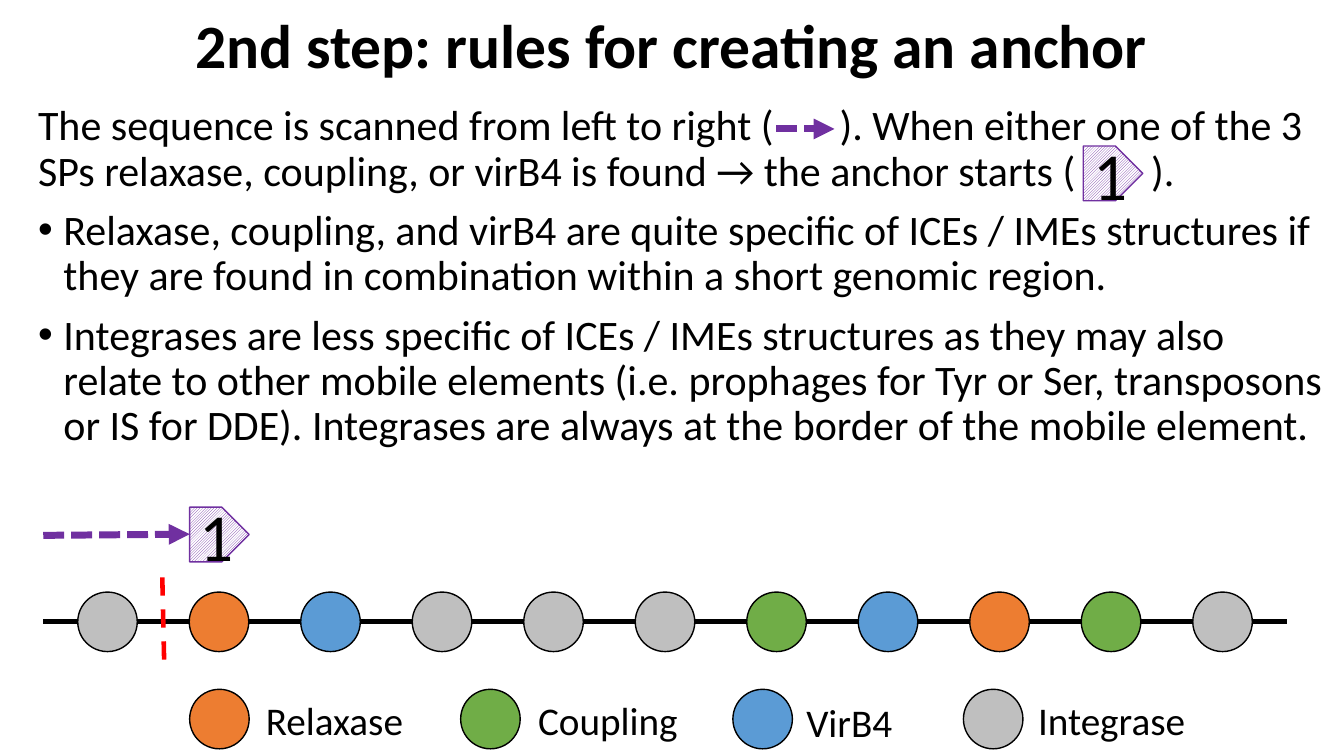
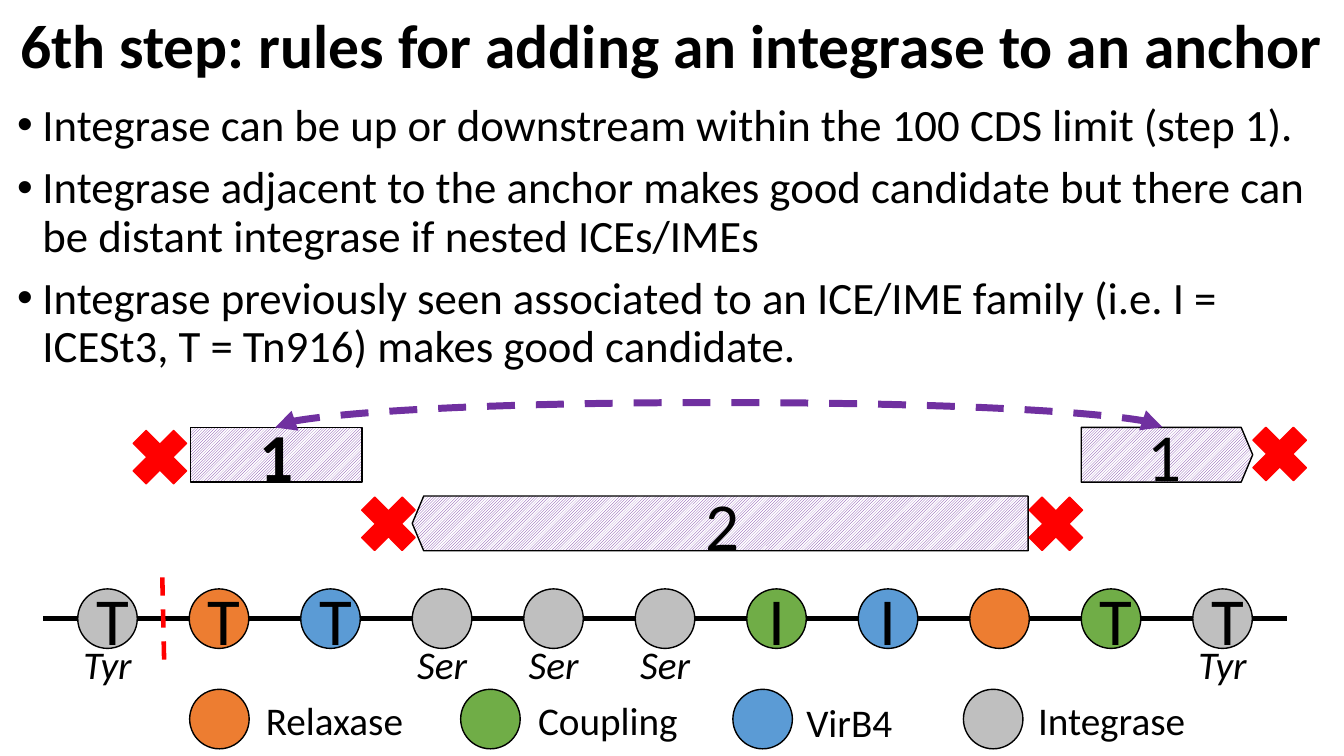
import pptx
import pptx.dml.color
import pptx.enum.dml
import pptx.enum.shapes
import pptx.enum.text
import pptx.oxml.ns
import pptx.util
from lxml import etree

Cm = pptx.util.Cm
SHAPE = pptx.enum.shapes.MSO_SHAPE
CONNECTOR = pptx.enum.shapes.MSO_CONNECTOR
DASH = pptx.enum.dml.MSO_LINE
ALIGN = pptx.enum.text.PP_ALIGN
ANCHOR = pptx.enum.text.MSO_ANCHOR
qn = pptx.oxml.ns.qn

GENES = ["integrase", "relaxase", "virb4", "integrase", "integrase", "integrase",
         "coupling", "virb4", "relaxase", "coupling", "integrase"]
LEGEND = [("Relaxase", 4.78, 6.45, 17.55), ("Coupling", 11.61, 13.31, 17.55),
          ("VirB4", 18.47, 20.07, 17.6), ("Integrase", 24.28, 25.91, 17.55)]


class Deck:
    """Holds the style and the current slide, and draws each kind of element."""

    FONT = "Calibri"
    COLORS = {"ink": "000000", "paper": "FFFFFF", "anchor": "7030A0", "limit": "FF0000",
              "relaxase": "ED7D31", "coupling": "70AD47", "virb4": "5B9BD5",
              "integrase": "BFBFBF"}
    WIDTH, HEIGHT = 33.87, 19.05
    GENE_SIZE, GENE_LEFT, GENE_PITCH = 1.5, 1.96, 2.81
    FLAG_HEIGHT = 1.38

    def __init__(self):
        self.prs = pptx.Presentation()
        self.prs.slide_width = Cm(self.WIDTH)
        self.prs.slide_height = Cm(self.HEIGHT)
        self.slide = None

    def color(self, name):
        return pptx.dml.color.RGBColor.from_string(self.COLORS[name])

    def start(self, title):
        self.slide = self.prs.slides.add_slide(self.prs.slide_layouts[6])
        self.text((0, 0, self.WIDTH, 2.44), [title], 44, bold=True,
                  align=ALIGN.CENTER, anchor=ANCHOR.MIDDLE)

    def add_run(self, paragraph, wording, size, bold=False, italic=False):
        run = paragraph.add_run()
        run.text = wording
        run.font.name = self.FONT
        run.font.size = pptx.util.Pt(size)
        run.font.bold = bold
        run.font.italic = italic
        run.font.color.rgb = self.color("ink")

    def text(self, box, wordings, size, bold=False, italic=False, align=ALIGN.LEFT,
             anchor=ANCHOR.TOP, bullets_from=None, tabs=()):
        frame = self.slide.shapes.add_textbox(*map(Cm, box)).text_frame
        frame.word_wrap = True
        frame.vertical_anchor = anchor
        for index, wording in enumerate(wordings):
            paragraph = frame.paragraphs[0] if index == 0 else frame.add_paragraph()
            paragraph.alignment = align
            paragraph.line_spacing = 0.9
            if index:
                paragraph.space_before = pptx.util.Pt(10)
            if bullets_from is not None and index >= bullets_from:
                self.bullet(paragraph)
            elif tabs:
                self.tab_stops(paragraph, tabs)
            self.add_run(paragraph, wording, size, bold, italic)

    def bullet(self, paragraph):
        props = paragraph._p.get_or_add_pPr()
        indent = int(Cm(0.64))
        props.set("marL", str(indent))
        props.set("indent", str(-indent))
        etree.SubElement(props, qn("a:buFont"), typeface="Arial")
        etree.SubElement(props, qn("a:buChar"), char="•")

    def tab_stops(self, paragraph, positions):
        stops = etree.SubElement(paragraph._p.get_or_add_pPr(), qn("a:tabLst"))
        for position in positions:
            etree.SubElement(stops, qn("a:tab"), pos=str(int(Cm(position))), algn="l")

    def shape(self, kind, box, fill, outline="ink", label="", bold=False):
        shape = self.slide.shapes.add_shape(kind, *map(Cm, box))
        shape.shadow.inherit = False
        if fill == "hatch":
            shape.fill.patterned()
            shape.fill.pattern = pptx.enum.dml.MSO_PATTERN.DARK_UPWARD_DIAGONAL
            shape.fill.fore_color.rgb = self.color("anchor")
            shape.fill.back_color.rgb = self.color("paper")
        else:
            shape.fill.solid()
            shape.fill.fore_color.rgb = self.color(fill)
        shape.line.color.rgb = self.color(outline)
        shape.line.width = pptx.util.Pt(1)
        if label:
            paragraph = shape.text_frame.paragraphs[0]
            paragraph.alignment = ALIGN.CENTER
            self.add_run(paragraph, label, 48, bold)
        return shape

    def flag(self, left, top, width, label, point=0.5, flipped=False, outline="ink",
             bold=False):
        flag = self.shape(SHAPE.PENTAGON, (left, top, width, self.FLAG_HEIGHT), "hatch",
                          outline, label, bold)
        flag.adjustments[0] = point
        if flipped:
            flag._element.spPr.find(qn("a:xfrm")).set("flipH", "1")

    def cross(self, left, top):
        self.shape(SHAPE.MATH_MULTIPLY, (left, top, 1.96, 1.96), "limit", "limit")

    def line(self, start, end, color, width, dash=None, arrows=(),
             kind=CONNECTOR.STRAIGHT):
        line = self.slide.shapes.add_connector(kind, *map(Cm, start + end))
        line.line.color.rgb = self.color(color)
        line.line.width = pptx.util.Pt(width)
        if dash is not None:
            line.line.dash_style = dash
        for arrow in arrows:
            etree.SubElement(line.line._ln, qn("a:" + arrow), type="triangle")
        etree.SubElement(line._element.spPr, qn("a:effectLst"))
        return line

    def scan_arrow(self, start, end):
        self.line(start, end, "anchor", 5, DASH.SQUARE_DOT, ["tailEnd"])

    def arc(self, left, right, base, rise):
        middle, half, thin = (left + right) / 2, (right - left) / 2, 0.01
        arc = self.line((middle, base - half), (middle + thin, base + half), "anchor", 5,
                        DASH.DASH, ["headEnd", "tailEnd"], CONNECTOR.CURVE)
        props = arc._element.spPr
        frame = props.find(qn("a:xfrm"))
        for key, value in (("rot", "5400000"), ("flipH", "1"), ("flipV", "1")):
            frame.set(key, value)
        geometry = props.find(qn("a:prstGeom"))
        guides = geometry.find(qn("a:avLst"))
        if guides is None:
            guides = etree.SubElement(geometry, qn("a:avLst"))
        etree.SubElement(guides, qn("a:gd"), name="adj1",
                         fmla=f"val {round(rise / thin * 100000)}")

    def gene(self, left, top, family, label=""):
        self.shape(SHAPE.OVAL, (left, top, self.GENE_SIZE, self.GENE_SIZE), family,
                   label=label)

    def genome(self, axis, letters=None, captions=None):
        letters, captions = letters or {}, captions or {}
        self.line((1.09, axis), (32.44, axis), "ink", 3.5)
        for index, family in enumerate(GENES):
            left = self.GENE_LEFT + index * self.GENE_PITCH
            self.gene(left, axis - self.GENE_SIZE / 2, family, letters.get(index, ""))
            if index in captions:
                center = left + self.GENE_SIZE / 2
                self.text((center - 1.02, 16.15, 2.04, 1.57), [captions[index]], 28,
                          italic=True, align=ALIGN.CENTER)
        self.line((4.09, 14.55), (4.14, 16.81), "limit", 3.25, DASH.DASH)
        for name, dot_left, name_left, name_top in LEGEND:
            self.gene(dot_left, 17.37, name.lower())
            self.text((name_left, name_top, 4.72, 1.45), [name], 28)


def anchor_slide(deck):
    deck.start("2nd step: rules for creating an anchor")
    deck.text((0.71, 2.51, 33.15, 9.6), [
        "The sequence is scanned from left to right (\t). When either one of the 3 SPs "
        "relaxase, coupling, or virB4 is found → the anchor starts (\t).",
        "Relaxase, coupling, and virB4 are quite specific of ICEs / IMEs structures if "
        "they are found in combination within a short genomic region.",
        "Integrases are less specific of ICEs / IMEs structures as they may also relate "
        "to other mobile elements (i.e. prophages for Tyr or Ser, transposons or IS for "
        "DDE). Integrases are always at the border of the mobile element.",
    ], 30, bullets_from=1, tabs=(20.2, 28.05))
    deck.genome(15.67)
    deck.scan_arrow((1.09, 13.49), (4.78, 13.46))
    deck.scan_arrow((19.56, 3.25), (21.03, 3.25))
    for left, top in ((4.78, 12.78), (27.3, 3.68)):
        deck.flag(left, top, 1.5, "1", outline="anchor")


def integrase_slide(deck):
    deck.start("6th step: rules for adding an integrase to an anchor")
    deck.text((0.18, 2.46, 33.22, 7.09), [
        "Integrase can be up or downstream within the 100 CDS limit (step 1).",
        "Integrase adjacent to the anchor makes good candidate but there can be distant "
        "integrase if nested ICEs/IMEs",
        "Integrase previously seen associated to an ICE/IME family (i.e. I = ICESt3, "
        "T = Tn916) makes good candidate.",
    ], 32, bullets_from=0)
    deck.genome(15.59,
                letters={0: "T", 1: "T", 2: "T", 6: "I", 7: "I", 9: "T", 10: "T"},
                captions={0: "Tyr", 3: "Ser", 4: "Ser", 5: "Ser", 10: "Tyr"})
    deck.flag(4.8, 10.77, 4.32, "1", point=0, flipped=True, bold=True)
    deck.flag(10.39, 12.5, 15.52, "2", point=0.21, flipped=True)
    deck.flag(27.25, 10.77, 4.32, "1", point=0.21)
    deck.arc(6.93, 29.29, 10.77, 0.63)
    for left, top in ((3.05, 10.54), (8.81, 12.22), (31.27, 10.46), (25.63, 12.22)):
        deck.cross(left, top)


def main():
    deck = Deck()
    anchor_slide(deck)
    integrase_slide(deck)
    deck.prs.save("out.pptx")


if __name__ == "__main__":
    main()
